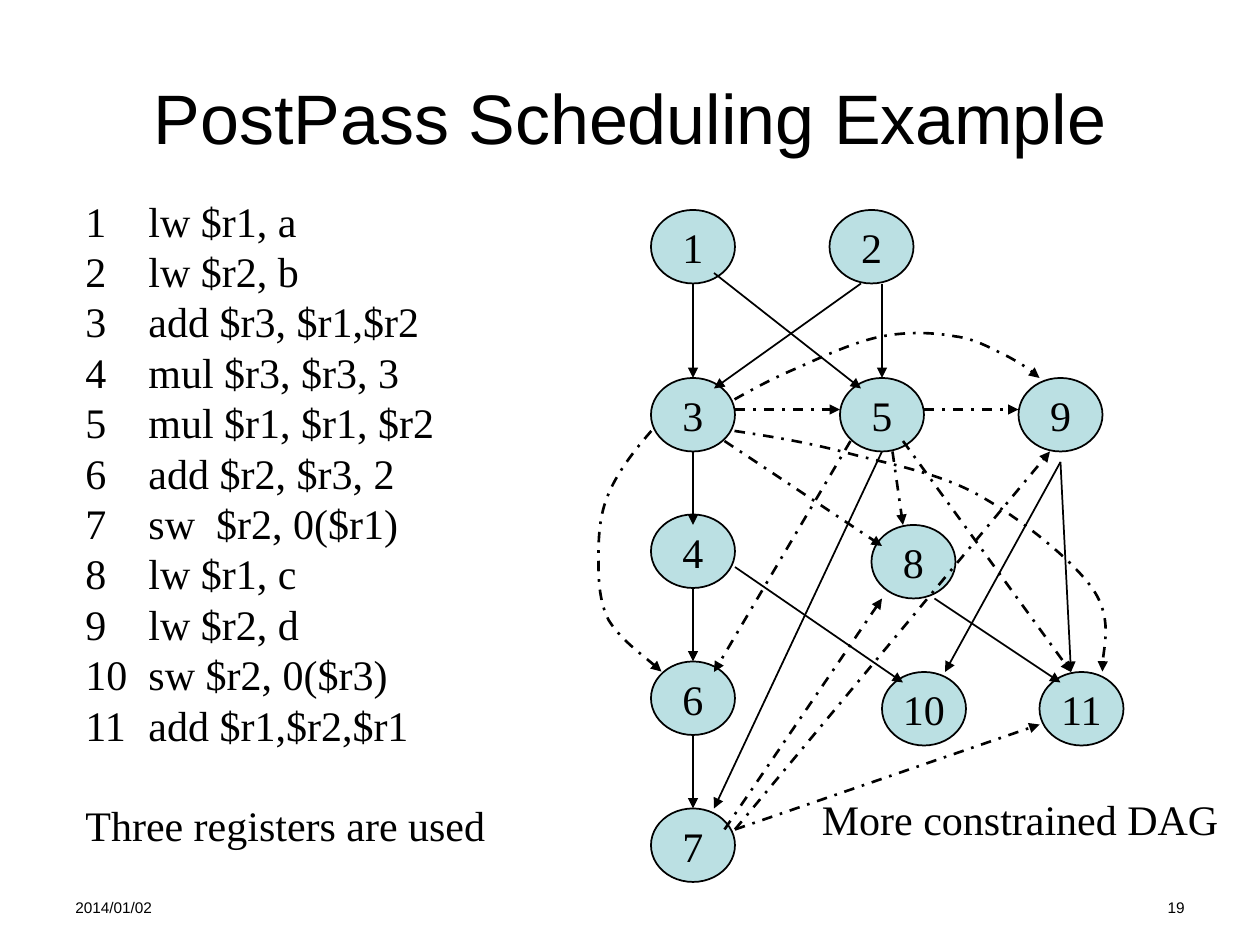
from lxml.etree import SubElement
from pptx import Presentation
from pptx.dml.color import RGBColor
from pptx.enum.dml import MSO_LINE
from pptx.enum.shapes import MSO_CONNECTOR, MSO_SHAPE
from pptx.enum.text import MSO_ANCHOR as ANCHOR, PP_ALIGN as ALIGN
from pptx.oxml.ns import qn
from pptx.util import Inches, Pt

BLACK = RGBColor(0x00, 0x00, 0x00)
NODE_BLUE = RGBColor(0xBB, 0xE0, 0xE3)
SANS, SERIF = "Arial", "Times New Roman"
LINE_PITCH = Pt(28.8)

CODE = [
    "lw $r1, a", "lw $r2, b", "add $r3, $r1,$r2", "mul $r3, $r3, 3",
    "mul $r1, $r1, $r2", "add $r2, $r3, 2", "sw  $r2, 0($r1)", "lw $r1, c",
    "lw $r2, d", "sw $r2, 0($r3)", "add $r1,$r2,$r1",
]
NODES = {
    1: (62, 20), 2: (79, 20), 3: (62, 36), 4: (62, 49), 5: (80, 36), 6: (62, 63),
    7: (62, 77), 8: (83, 50), 9: (97, 36), 10: (84, 64), 11: (99, 64),
}
TRUE_EDGES = [
    (66, 27, 66, 36), (82, 27, 68, 37), (68, 26, 82, 37), (84, 27, 84, 36),
    (66, 43, 66, 50), (66, 56, 66, 63), (66, 70, 66, 77), (84, 43, 68, 77),
    (70, 54, 86, 65), (101, 44, 90, 64), (89, 57, 101, 65), (101, 44, 102, 64),
]
REUSE_EDGES = [
    (70, 39, 80, 39), (81, 42, 68, 64), (69, 42, 84, 52), (85, 43, 86, 50),
    (88, 39, 97, 39), (70, 79, 99, 69), (86, 42, 102, 64), (69, 79, 84, 57),
    (70, 79, 100, 43),
]
REUSE_CURVES = [
    [(5.17, 3.42), (5.03, 3.58), (4.9, 3.75), (4.83, 3.92), (4.76, 4.08),
     (4.75, 4.25), (4.75, 4.42), (4.75, 4.58), (4.75, 4.76), (4.83, 4.92),
     (4.92, 5.07), (5.18, 5.26), (5.25, 5.33)],
    [(5.83, 3.17), (5.99, 3.08), (6.14, 3), (6.33, 2.92), (6.53, 2.83),
     (6.79, 2.71), (7, 2.67), (7.21, 2.63), (7.42, 2.64), (7.58, 2.67),
     (7.75, 2.69), (7.89, 2.78), (8, 2.83), (8.11, 2.89), (8.18, 2.94), (8.25, 3)],
    [(5.83, 3.42), (6.09, 3.46), (6.35, 3.5), (6.67, 3.58), (6.99, 3.67),
     (7.42, 3.74), (7.75, 3.92), (8.08, 4.1), (8.5, 4.43), (8.67, 4.67),
     (8.83, 4.9), (8.74, 5.22), (8.75, 5.33)],
]
TRUE_STYLE = {"width": Pt(1)}
REUSE_STYLE = {"width": Pt(1.5), "dash_style": MSO_LINE.DASH_DOT}


def grid(n):
    """Turn twelfths of an inch into a length."""
    return Inches(n / 12)


def set_attrs(obj, values):
    """Set each named attribute of an object."""
    for name, value in values.items():
        setattr(obj, name, value)


def write(p, text, size, font=SERIF, **layout):
    """Write one run of black text into a paragraph."""
    set_attrs(p, layout)
    r = p.add_run()
    r.text = text
    set_attrs(r.font, {"size": Pt(size), "name": font})
    r.font.color.rgb = BLACK


def add_text(s, box, text, size, font, align, anchor=ANCHOR.TOP, wrap=True):
    """Add a text box with one line."""
    tf = s.shapes.add_textbox(*map(Inches, box)).text_frame
    set_attrs(tf, {"word_wrap": wrap, "vertical_anchor": anchor})
    write(tf.paragraphs[0], text, size, font, alignment=align)


def hang(p, number=None):
    """Give a paragraph a hanging indent, and automatic numbering if asked."""
    pPr = p._p.get_or_add_pPr()
    pPr.set("marL", str(Inches(0.5)))
    pPr.set("indent", str(-Inches(0.5)))
    if number:
        SubElement(pPr, qn("a:buFont"), typeface=SERIF)
        SubElement(pPr, qn("a:buAutoNum"), type="arabicPlain", startAt=str(number))


def add_code(s):
    """Add the instruction list and the remark under it."""
    tf = s.shapes.add_textbox(*map(Inches, (0.58, 1.5, 4.37, 5.3))).text_frame
    tf.word_wrap = True
    for number, line in enumerate(CODE, 1):
        p = tf.paragraphs[0] if number == 1 else tf.add_paragraph()
        automatic = number >= 6
        write(p, line if automatic else f"{number}\t{line}", 24, line_spacing=LINE_PITCH)
        hang(p, 6 if automatic else None)
    p = tf.add_paragraph()
    write(p, "Three registers are used", 24, line_spacing=LINE_PITCH, space_before=LINE_PITCH)
    hang(p)


def add_node(s, number, left, top):
    """Add one numbered instruction node."""
    sp = s.shapes.add_shape(MSO_SHAPE.OVAL, grid(left), grid(top), grid(8), grid(7))
    sp.shadow.inherit = False
    sp.fill.solid()
    sp.fill.fore_color.rgb = NODE_BLUE
    sp.line.color.rgb = BLACK
    sp.line.width = Pt(1)
    tf = sp.text_frame
    set_attrs(tf, {"word_wrap": False, "vertical_anchor": ANCHOR.MIDDLE})
    write(tf.paragraphs[0], str(number), 24, alignment=ALIGN.CENTER)


def style_arrow(sp, style):
    """Give a line its colour, style and arrowhead."""
    sp.line.color.rgb = BLACK
    set_attrs(sp.line, style)
    SubElement(sp.line._get_or_add_ln(), qn("a:tailEnd"), type="triangle")


def add_edge(s, ends, style):
    """Add one straight dependence arrow."""
    c = s.shapes.add_connector(MSO_CONNECTOR.STRAIGHT, *map(grid, ends))
    style_arrow(c, style)
    SubElement(c._element.spPr, qn("a:effectLst"))


def add_curve(s, points, style):
    """Add an arrow along cubic curves, three points to each segment."""
    start, *rest = [(Inches(x), Inches(y)) for x, y in points]
    fb = s.shapes.build_freeform(*start)
    fb.add_line_segments(rest, close=False)
    sp = fb.convert_to_shape()
    outline = next(sp._element.iter(qn("a:path")))
    steps = outline.findall(qn("a:lnTo"))
    for i in range(0, len(steps), 3):
        bend = SubElement(outline, qn("a:cubicBezTo"))
        for step in steps[i:i + 3]:
            bend.append(step[0])
            outline.remove(step)
    sp.fill.background()
    sp.shadow.inherit = False
    style_arrow(sp, style)


def main():
    """Build the slide and save it."""
    prs = Presentation()
    prs.slide_width, prs.slide_height = Inches(10), Inches(7.5)
    s = prs.slides.add_slide(prs.slide_layouts[6])
    add_text(s, (0.5, 7.08, 2.33, 0.27), "2014/01/02", 8.8, SANS, ALIGN.LEFT)
    add_text(s, (7.17, 7.08, 2.33, 0.27), "19", 8.8, SANS, ALIGN.RIGHT)
    add_text(s, (0.5, 0.3, 9, 1.25), "PostPass Scheduling Example", 40, SANS,
             ALIGN.CENTER, ANCHOR.MIDDLE)
    add_code(s)
    for number, place in NODES.items():
        add_node(s, number, *place)
    for ends in TRUE_EDGES:
        add_edge(s, ends, TRUE_STYLE)
    for ends in REUSE_EDGES:
        add_edge(s, ends, REUSE_STYLE)
    for points in REUSE_CURVES:
        add_curve(s, points, REUSE_STYLE)
    add_text(s, (6.34, 6.25, 3.43, 0.5), " More constrained DAG", 24, SERIF,
             ALIGN.CENTER, wrap=False)
    prs.save("out.pptx")


if __name__ == "__main__":
    main()
